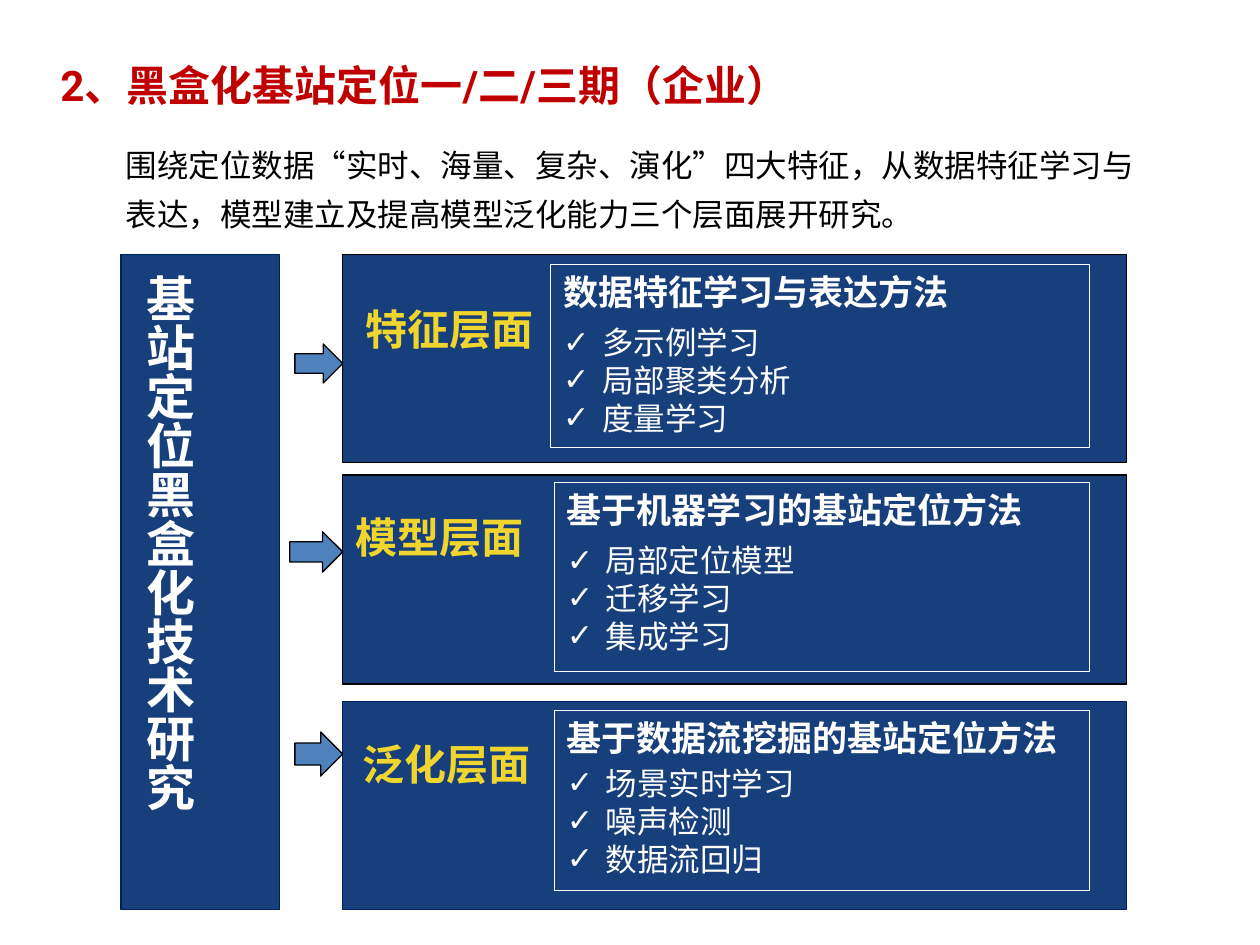
"""Build the slide on black-box base station positioning research."""
from dataclasses import dataclass

from lxml.etree import SubElement
from pptx import Presentation
from pptx.dml.color import RGBColor
from pptx.enum.shapes import MSO_SHAPE
from pptx.enum.text import MSO_ANCHOR, MSO_AUTO_SIZE, PP_ALIGN
from pptx.oxml.ns import qn
from pptx.util import Inches, Pt


@dataclass(frozen=True)
class Theme:
    navy: str = "173F7B"
    edge: str = "002060"
    arrow: str = "4F81BD"
    black: str = "000000"
    white: str = "FFFFFF"
    yellow: str = "F1D52F"
    red: str = "C00000"
    font: str = "Arial"
    title_font: str = "Roboto"
    intro_font: str = "Noto Sans CJK SC"
    body: int = 18
    heading: int = 20
    label: int = 24
    banner: int = 28


theme = Theme()


def add_box(box, fill, line, preset=MSO_SHAPE.RECTANGLE):
    """Add a filled, outlined shape at (left, top, width, height) inches."""
    shape = slide.shapes.add_shape(preset, *map(Inches, box))
    shape.shadow.inherit = False
    shape.fill.solid()
    shape.fill.fore_color.rgb = RGBColor.from_string(fill)
    shape.line.color.rgb = RGBColor.from_string(line)
    shape.line.width = Pt(0.75)
    return shape


def add_run(paragraph, text, size, color, bold=False, font=theme.font):
    """Add one formatted run to a paragraph."""
    run = paragraph.add_run()
    run.text = text
    run.font.size = Pt(size)
    run.font.bold = bold
    run.font.name = font
    run.font.color.rgb = RGBColor.from_string(color)
    return run


prs = Presentation()
prs.slide_width, prs.slide_height = Inches(10), Inches(7.5)
slide = prs.slides.add_slide(prs.slide_layouts[5])

title = slide.shapes.title
title.left, title.top, title.width, title.height = map(Inches, (0.38, 0.42, 8.27, 0.5))
title.text_frame.auto_size = MSO_AUTO_SIZE.NONE
title.text_frame.vertical_anchor = MSO_ANCHOR.TOP
title.text_frame.paragraphs[0].alignment = PP_ALIGN.LEFT
add_run(title.text_frame.paragraphs[0], "2、黑盒化基站定位一/二/三期（企业）",
        theme.label, theme.red, True, theme.title_font)

intro = slide.shapes.add_textbox(*map(Inches, (0.9, 1.02, 8.2, 0.85))).text_frame
intro.word_wrap = True
intro.paragraphs[0].line_spacing = Pt(28)
intro_run = add_run(
    intro.paragraphs[0],
    "围绕定位数据“实时、海量、复杂、演化”四大特征，从数据特征学习与表达，"
    "模型建立及提高模型泛化能力三个层面展开研究。",
    theme.body, theme.black, font=theme.intro_font)
SubElement(intro_run.font._element, qn("a:ea"), typeface=theme.intro_font)

add_box((0.96, 2.02, 1.26, 5.2), theme.navy, theme.edge)
banner = slide.shapes.add_textbox(*map(Inches, (0.96, 2.08, 0.67, 5.02))).text_frame
banner.word_wrap = True
banner.auto_size = MSO_AUTO_SIZE.SHAPE_TO_FIT_TEXT
banner._txBody.bodyPr.set("vert", "eaVert")
banner.paragraphs[0].alignment = PP_ALIGN.CENTER
add_run(banner.paragraphs[0], "基站定位黑盒化技术研究", theme.banner, theme.white, True)

levels = [
    ("特征层面", (2.8, 2.36), (2.02, 1.65), theme.black, (4.37, 2.1, 4.28, 1.45),
     (2.34, 2.73, 0.38, 0.31), 6, "数据特征学习与表达方法",
     ("多示例学习", "局部聚类分析", "度量学习")),
    ("模型层面", (2.72, 4.01), (3.77, 1.66), theme.black, (4.4, 3.83, 4.25, 1.5),
     (2.3, 4.22, 0.42, 0.32), 6, "基于机器学习的基站定位方法",
     ("局部定位模型", "迁移学习", "集成学习")),
    ("泛化层面", (2.78, 5.81), (5.57, 1.65), theme.edge, (4.4, 5.64, 4.25, 1.43),
     (2.34, 5.81, 0.38, 0.35), 3, "基于数据流挖掘的基站定位方法",
     ("场景实时学习", "噪声检测", "数据流回归")),
]

for name, name_at, (top, height), edge, detail_box, arrow_box, gap, heading, methods in levels:
    add_box((2.72, top, 6.22, height), theme.navy, edge)
    add_box(arrow_box, theme.arrow, theme.black, MSO_SHAPE.RIGHT_ARROW)

    detail = add_box(detail_box, theme.navy, theme.white).text_frame
    detail.word_wrap = True
    detail.vertical_anchor = MSO_ANCHOR.TOP
    detail.paragraphs[0].alignment = PP_ALIGN.LEFT
    add_run(detail.paragraphs[0], heading, theme.heading, theme.white, True)
    for index, method in enumerate(methods):
        item = detail.add_paragraph()
        item.alignment = PP_ALIGN.LEFT
        item.space_before = Pt(0 if index else gap)
        properties = item._p.get_or_add_pPr()
        properties.set("marL", str(Inches(0.31)))
        properties.set("indent", str(Inches(-0.31)))
        SubElement(properties, qn("a:buFont"), typeface=theme.font)
        SubElement(properties, qn("a:buChar"), char="✓")
        add_run(item, method, theme.body, theme.white)

    label = slide.shapes.add_textbox(*map(Inches, (*name_at, 1.68, 0.5))).text_frame
    label.word_wrap = True
    add_run(label.paragraphs[0], name, theme.label, theme.yellow, True)

prs.save("out.pptx")
